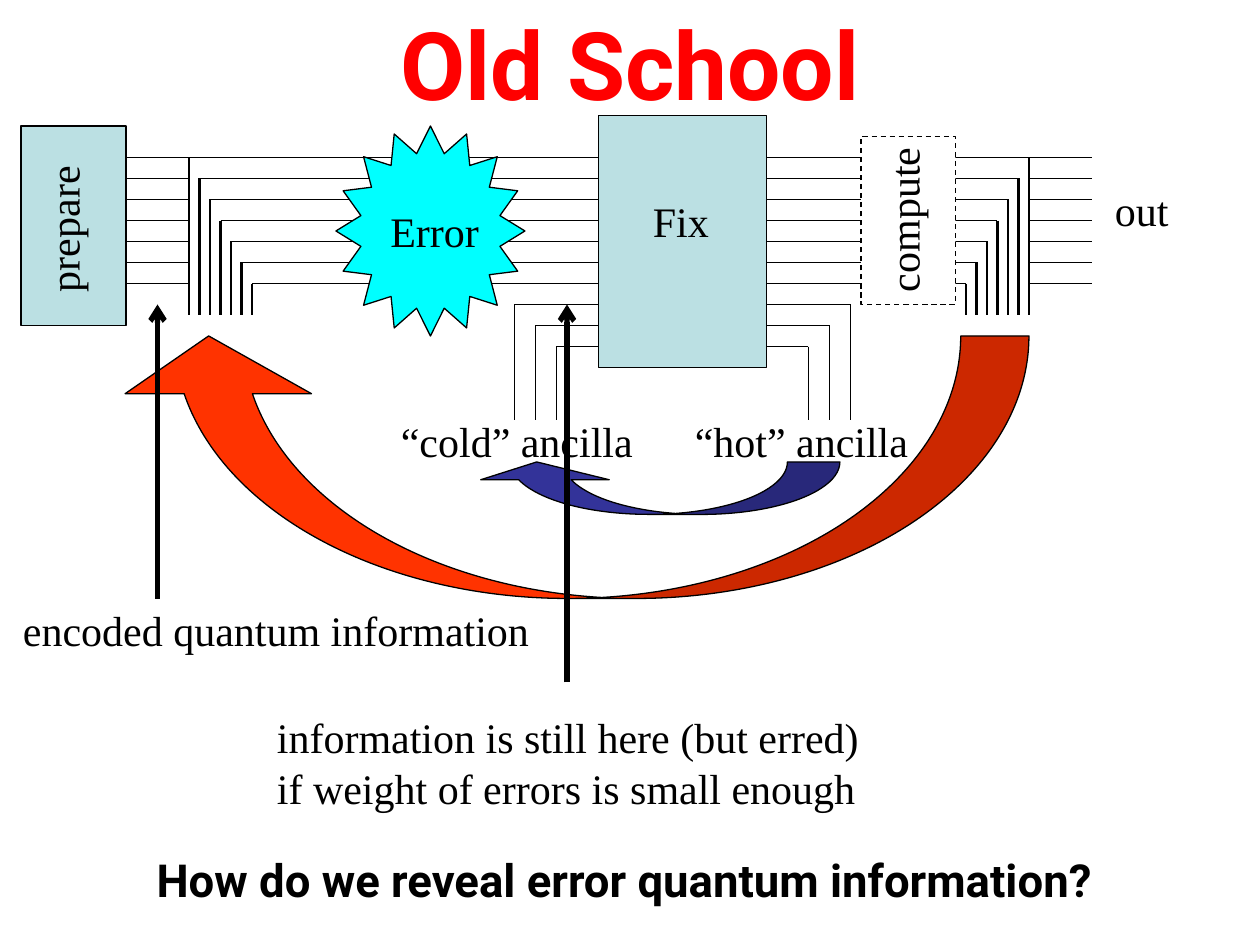
import pptx
import pptx.dml.color
import pptx.enum.dml
import pptx.enum.shapes
import pptx.enum.text
import pptx.oxml.ns
import pptx.util
from lxml import etree

SHAPES = pptx.enum.shapes.MSO_SHAPE
ALIGN = pptx.enum.text.PP_ALIGN
DASH = pptx.enum.dml.MSO_LINE.DASH
COLUMNS, ROWS = 120, 90
BLACK, WHITE, RED = "000000", "FFFFFF", "FF0000"
PALE, CYAN, NAVY, ORANGE = "BBE0E3", "00FFFF", "333399", "FF3300"


def color(text):
    return pptx.dml.color.RGBColor.from_string(text)


def add_element(parent, tag, **attributes):
    return etree.SubElement(parent, pptx.oxml.ns.qn(tag), attributes)


class Diagram:
    """Holds the style and the page; lengths are cells of a 120 by 90 grid."""

    body = {"name": "Times New Roman", "size": pptx.util.Pt(24), "bold": False}
    heading = {"name": "Roboto", "size": pptx.util.Pt(54), "bold": True}
    question = {"name": "Roboto", "size": pptx.util.Pt(26), "bold": True}

    def __init__(self, deck):
        self.cell_width = deck.slide_width / COLUMNS
        self.cell_height = deck.slide_height / ROWS
        self.page = deck.slides.add_slide(deck.slide_layouts[5])

    def place(self, left, top, *size):
        """Turn a point, or a point and a size, into lengths."""
        scales = (self.cell_width, self.cell_height) * 2
        return [pptx.util.Emu(round(value * scale))
                for value, scale in zip((left, top, *size), scales)]

    def fill_text(self, box, lines, font, ink=BLACK, align=ALIGN.LEFT, wrap=True):
        frame = box.text_frame
        frame.text = "\n".join(lines)
        frame.word_wrap = wrap
        frame.auto_size = pptx.enum.text.MSO_AUTO_SIZE.NONE
        frame.vertical_anchor = pptx.enum.text.MSO_ANCHOR.TOP
        for para in frame.paragraphs:
            para.alignment = align
            for span in para.runs:
                for name, value in font.items():
                    setattr(span.font, name, value)
                span.font.color.rgb = color(ink)

    def title(self, text, bounds):
        box = self.page.shapes.title
        box.left, box.top, box.width, box.height = self.place(*bounds)
        self.fill_text(box, [text], self.heading, RED, ALIGN.CENTER, wrap=False)

    def text(self, lines, bounds, font=None, rotation=0, **options):
        box = self.page.shapes.add_textbox(*self.place(*bounds))
        box.rotation = rotation
        self.fill_text(box, lines, font or self.body, **options)

    def shape(self, kind, bounds, fill, dash=None):
        shape = self.page.shapes.add_shape(kind, *self.place(*bounds))
        shape.shadow.inherit = False
        shape.fill.solid()
        shape.fill.fore_color.rgb = color(fill)
        shape.line.color.rgb = color(BLACK)
        shape.line.width = pptx.util.Pt(0.75)
        if dash:
            shape.line.dash_style = dash
        return shape

    def return_arrow(self, bounds, fill, proportions):
        """Curved arrow that runs from right to left."""
        arrow = self.shape(SHAPES.CURVED_UP_ARROW, bounds, fill)
        for index, value in enumerate(proportions):
            arrow.adjustments[index] = value
        arrow._element.spPr.xfrm.set("flipH", "1")

    def line(self, start, end, weight=1, arrow=False):
        line = self.page.shapes.add_connector(
            pptx.enum.shapes.MSO_CONNECTOR.STRAIGHT,
            *self.place(*start), *self.place(*end))
        line.line.color.rgb = color(BLACK)
        line.line.width = pptx.util.Pt(weight)
        if arrow:
            add_element(line.line._get_or_add_ln(), "a:tailEnd", type="arrow")
        add_element(line._element.spPr, "a:effectLst")


def draw_wires(diagram):
    for wire in range(7):
        left, right, row = 18 + wire, 98 - wire, 15 + 2 * wire
        diagram.line((left, row), (right, row))
        for column in (left, right):
            diagram.line((column, row), (column, 30), 1.5)
        for column in (12, 98):
            diagram.line((column, row), (column + 6, row), 0.75)


def draw_ancillas(diagram):
    for wire in range(3):
        row = 29 + 2 * wire
        for column, edge in ((49 + 2 * wire, 57), (81 - 2 * wire, 73)):
            diagram.line((column, row), (edge, row))
            diagram.line((column, row), (column, 40))


def main():
    deck = pptx.Presentation()
    deck.slide_width = pptx.util.Inches(10)
    deck.slide_height = pptx.util.Inches(7.5)
    diagram = Diagram(deck)
    diagram.title("Old School", (34.5, 0, 51, 12))

    draw_wires(diagram)
    diagram.shape(SHAPES.RECTANGLE, (57, 11, 16, 24), PALE)
    diagram.shape(SHAPES.STAR_16_POINT, (32, 12, 18, 20), CYAN)
    diagram.shape(SHAPES.RECTANGLE, (2, 12, 10, 19), PALE)
    diagram.shape(SHAPES.RECTANGLE, (82, 13, 9, 16), WHITE, DASH)
    draw_ancillas(diagram)
    diagram.return_arrow((45, 44, 35, 5), NAVY, (1, 2.45, 0.34))
    diagram.return_arrow((11, 32, 87, 25), ORANGE, (0.26, 0.71, 0.22))

    labels = {
        "Error": (36, 19, 12, 6),
        "Fix": (61, 18, 9, 6),
        "“cold” ancilla": (37, 39, 25, 6),
        "“hot” ancilla": (65, 39, 23, 6),
        "out": (105, 17, 8, 6),
    }
    for label, bounds in labels.items():
        diagram.text([label], bounds)
    diagram.text(["prepare"], (-1.5, 18.5, 15, 6), rotation=270)
    diagram.text(["compute"], (77.5, 17.5, 17, 6), rotation=270)

    diagram.line((15, 57), (15, 29), 3, arrow=True)
    diagram.line((54, 65), (54, 29), 3, arrow=True)
    diagram.text(["encoded quantum information"], (1, 57, 50.5, 6), wrap=False)
    diagram.text(["information is still here (but erred)",
                  "if weight of errors is small enough"],
                 (25.2, 67.2, 57.8, 10.8), wrap=False)
    diagram.text(["How do we reveal error quantum information?"],
                 (8, 80.6, 103, 11.6), diagram.question, align=ALIGN.CENTER)
    deck.save("out.pptx")


if __name__ == "__main__":
    main()
